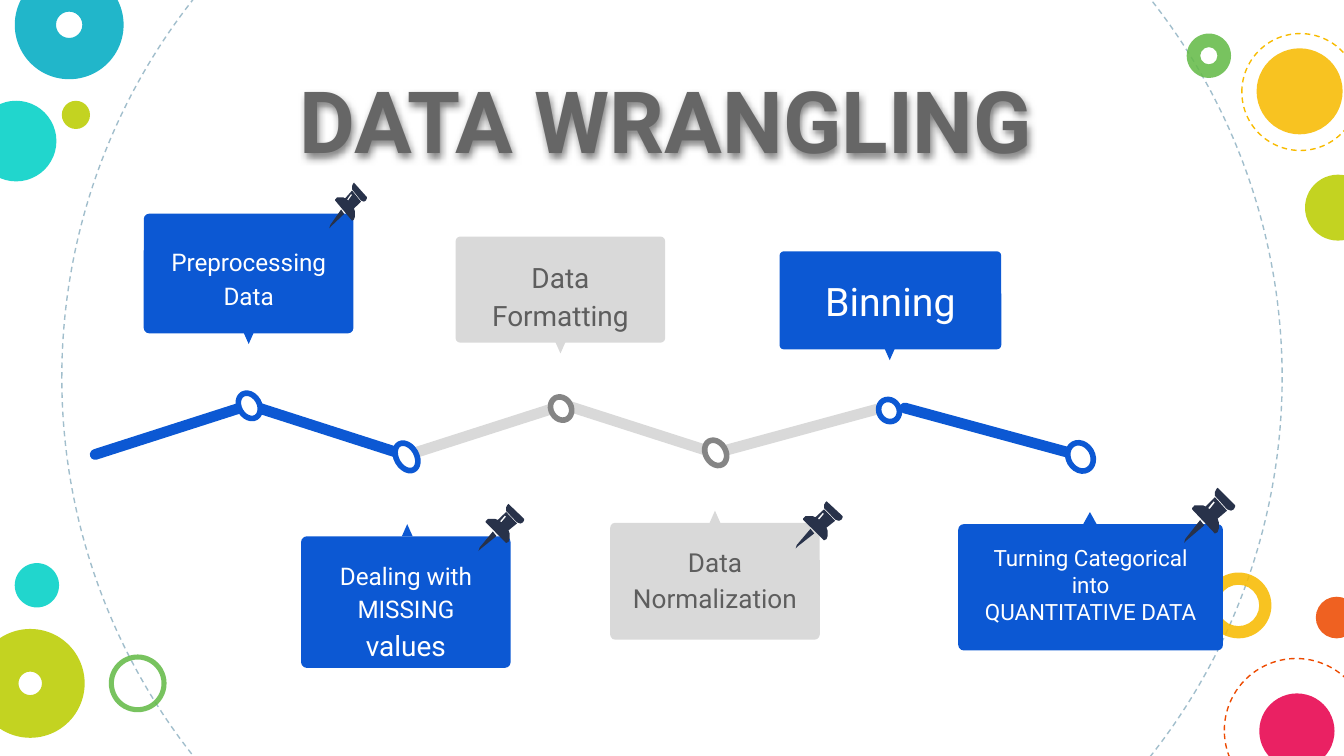
import pptx
import pptx.util
import pptx.dml.color
import pptx.enum.dml
import pptx.enum.shapes
import pptx.enum.text
import pptx.oxml
import pptx.oxml.ns

Inches, Pt = pptx.util.Inches, pptx.util.Pt
KIND = pptx.enum.shapes.MSO_SHAPE
BLUE, GREY, DARK, TEXT, WHITE, NAVY = "0C58D3", "D9D9D9", "858585", "5E5E5E", "FFFFFF", "28324A"
TEAL, CYAN, LIME, LEAF, GOLD, RUST, PINK = (
    "00D1C6", "00ACC3", "BBCD00", "65BB48", "F8BB00", "ED4A00", "E8004C")

DECOR = [
    (0.46, -1.73, 9.08, "A1BECC", "dash"),
    (-0.18, 0.75, 0.6, TEAL, None),
    (8.97, 4.26, 0.49, GOLD, 0.186),
    (0.11, -0.22, 0.81, CYAN, 0.379),
    (0.46, 0.75, 0.21, LIME, None),
    (9.11, 4.9, 1.07, RUST, "dash"),
    (0.81, 4.87, 0.43, LEAF, 0.088),
    (9.79, 4.44, 0.31, RUST, None),
    (-0.18, 4.68, 0.81, LIME, 0.392),
    (9.37, 5.16, 0.56, PINK, None),
    (8.83, 0.25, 0.33, LEAF, 0.306),
    (9.35, 0.36, 0.64, GOLD, None),
    (9.71, 1.3, 0.49, LIME, None),
    (9.24, 0.25, 0.87, GOLD, "dash"),
    (0.11, 4.19, 0.33, TEAL, None),
]
BARS = [
    (5.32, 1.27, -15.2, GREY), (4.15, 1.27, 17.8, GREY), (2.98, 1.27, -17.8, GREY),
    (1.8, 1.27, 17.8, BLUE), (0.64, 1.27, -17.8, BLUE), (6.67, 1.33, 15.2, BLUE),
]
GREYS, BLUES = (GREY, DARK, TEXT), (BLUE, BLUE, WHITE)
CARDS = [
    dict(box=(4.54, 3.89, 1.56, 0.87), ring=(5.25, 3.27, 0.15, 0.2), tip=5.32, look=GREYS,
         text=[[("Data Normalization", 14)]]),
    dict(box=(3.39, 1.76, 1.56, 0.79), ring=(4.1, 2.95, 0.15, 0.18), tip=4.17, look=GREYS,
         text=[[("Data Formatting", 15)]]),
    dict(box=(2.24, 3.99, 1.56, 0.98), ring=(2.95, 3.29, 0.15, 0.22), tip=3.03, look=BLUES,
         text=[[("Dealing with MISSING ", 13), ("values", 15)]], drop=0.05),
    dict(box=(1.07, 1.59, 1.56, 0.89), ring=(1.78, 2.92, 0.15, 0.2), tip=1.85, look=BLUES,
         text=[[("Preprocessing Data", 13)]], drop=0.12),
    dict(box=(7.13, 3.9, 1.97, 0.94), ring=(7.95, 3.29, 0.18, 0.22), tip=8.11, look=BLUES,
         text=[[("Turning Categorical into", 12)], [("QUANTITATIVE DATA", 12)]],
         drop=0.05, gap={}, wide=0.1),
    dict(box=(5.8, 1.87, 1.65, 0.73), ring=(6.54, 2.97, 0.15, 0.17), tip=6.62, look=BLUES,
         text=[[("Binning", 21)]]),
]
GAP = dict(line_spacing=1.15, space_after=Pt(16))
PINS = [(2.45, 1.36, 0.28, 0.34), (3.56, 3.75, 0.34, 0.35),
        (5.92, 3.73, 0.35, 0.35), (8.81, 3.63, 0.38, 0.41)]
PINSIZE = (38, 41)
NEEDLE = [[(12, 24), (1, 38), (0, 41), (2, 39), (15, 28)]]
CAP = [[(25, 0), (24, 1), (23, 3), (23, 6), (32, 16), (35, 17), (37, 16), (38, 14),
        (38, 13), (26, 1)]]
BODY = [[(23, 7), (16, 14), (14, 13), (11, 13), (8, 13), (6, 15), (6, 16), (23, 34),
         (25, 33), (26, 30), (26, 26), (25, 23), (32, 17)],
        [(22, 10), (18, 15), (19, 16), (23, 11)]]
FRAME = dict(word_wrap=True, margin_left=Inches(0.1), margin_right=Inches(0.1),
             margin_top=Inches(0.1), margin_bottom=Inches(0.1),
             vertical_anchor=pptx.enum.text.MSO_ANCHOR.TOP)

deck = pptx.Presentation()
deck.slide_width, deck.slide_height = Inches(10), Inches(10) * 9 // 16
slide = deck.slides.add_slide(deck.slide_layouts[6])
shapes = slide.shapes


def rgb(code):
    return pptx.dml.color.RGBColor.from_string(code)


def put(item, values):
    for name, value in values.items():
        setattr(item, name, value)


def xml(tag, body="", attrs=""):
    return pptx.oxml.parse_xml(f'<a:{tag} {pptx.oxml.ns.nsdecls("a")} {attrs}>{body}</a:{tag}>')


def paint(item, fill=None, line=None, width=0.75):
    item.shadow.inherit = False
    if fill:
        item.fill.solid()
        item.fill.fore_color.rgb = rgb(fill)
    else:
        item.fill.background()
    if line:
        item.line.color.rgb = rgb(line)
        item.line.width = Pt(width)
    else:
        item.line.fill.background()


def draw(kind, box, adj=None, turn=0, **look):
    item = shapes.add_shape(kind, *map(Inches, box))
    if adj is not None:
        item.adjustments[0] = adj
    item.rotation = turn
    paint(item, **look)
    return item


def write(box, text, color, gap, **font):
    item = shapes.add_textbox(*map(Inches, box))
    frame = item.text_frame
    put(frame, FRAME)
    for i, runs in enumerate(text):
        para = frame.paragraphs[0] if i == 0 else frame.add_paragraph()
        put(para, dict(gap, alignment=pptx.enum.text.PP_ALIGN.CENTER))
        for words, size in runs:
            run = para.add_run()
            run.text = words
            put(run.font, dict(font, name="Roboto", size=Pt(size)))
            run.font.color.rgb = rgb(color)
    return item


def decor(x, y, size, color, kind):
    box = (x, y, size, size)
    if kind == "dash":
        item = draw(KIND.OVAL, box, line=color)
        item.line.dash_style = pptx.enum.dml.MSO_LINE.DASH
        return
    item = draw(KIND.DONUT if kind else KIND.OVAL, box, kind, fill=color)
    tone = item._element.spPr.find(".//" + pptx.oxml.ns.qn("a:srgbClr"))
    tone.append(xml("alpha", attrs='val="87000"'))


def card(box, ring, tip, look, text, drop=0.04, gap=GAP, wide=0.08):
    x, y, w, h = box
    fill, edge, color = look
    below = y > ring[1]
    draw(KIND.OVAL, ring, turn=330.2, fill=WHITE, line=edge, width=3)
    draw(KIND.ROUNDED_RECTANGLE, box, 0.045, fill=fill)
    draw(KIND.ISOSCELES_TRIANGLE,
         (tip - wide / 2, y - 0.09 if below else y + h - 0.01, wide, 0.09),
         turn=0 if below else 180, fill=fill)
    write((x + 0.04, y + drop, w - 0.08, h - drop - 0.04), text, color, gap)


def pin(x, y, w, h):
    for part in (NEEDLE, CAP, BODY):
        rings = [[(Inches(x + w * a / PINSIZE[0]), Inches(y + h * b / PINSIZE[1]))
                  for a, b in ring] for ring in part]
        form = shapes.build_freeform(*rings[0][0])
        form.add_line_segments(rings[0][1:])
        for ring in rings[1:]:
            form.move_to(*ring[0])
            form.add_line_segments(ring[1:])
        paint(form.convert_to_shape(), NAVY)


for row in DECOR:
    decor(*row)
for x, w, turn, color in BARS:
    draw(KIND.ROUNDED_RECTANGLE, (x, 3.16, w, 0.08), 0.5, turn, fill=color)
for row in CARDS:
    card(**row)
title = write((1.02, 0.4, 7.87, 1.18), [[("DATA WRANGLING", 46)]], "666666", {}, bold=True)
title._element.spPr.append(xml("effectLst", (
    '<a:outerShdw blurRad="50800" dist="28575" dir="5400000" algn="bl" rotWithShape="0">'
    '<a:srgbClr val="000000"><a:alpha val="50000"/></a:srgbClr></a:outerShdw>')))
for row in PINS:
    pin(*row)
deck.save("out.pptx")
